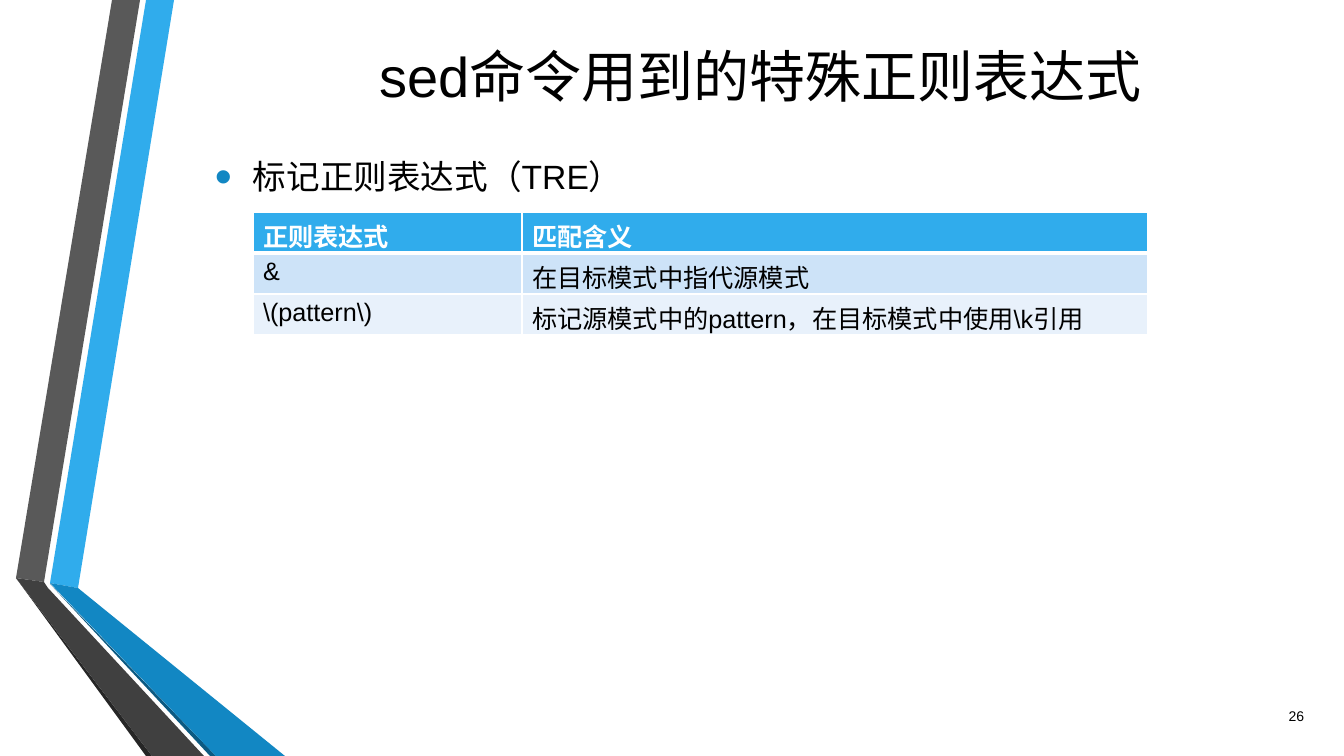
from dataclasses import dataclass

from lxml.etree import SubElement
from pptx import Presentation
from pptx.dml.color import RGBColor
from pptx.enum.text import MSO_ANCHOR as Anchor, PP_ALIGN as Align
from pptx.oxml import parse_xml
from pptx.oxml.ns import nsdecls, qn
from pptx.util import Pt

TITLE = "sed命令用到的特殊正则表达式"
BULLET = "标记正则表达式（TRE）"
PAGE = "26"
ROWS = [
    ("正则表达式", "匹配含义"),
    ("&", "在目标模式中指代源模式"),
    (r"\(pattern\)", r"标记源模式中的pattern，在目标模式中使用\k引用"),
]

# Lengths in px
PX = 914400 / 100.8
SLIDE = (1344, 756)
TITLE_BOX = (205, 26, 1111, 99)
BODY_BOX = (205, 136, 1111, 545)
PAGE_BOX = (1254, 696, 60, 40)
TABLE_AT = (253, 212)
COL_WIDTHS = (269, 626)
ROW_HEIGHT = 41
BULLET_INDENT = 38


@dataclass(frozen=True)
class Theme:
    font: str = "Arial"
    title: int = 40
    body: int = 24
    cell: int = 18
    page: int = 10
    text: str = "000000"
    white: str = "FFFFFF"
    blue: str = "30ACEC"
    deep_blue: str = "1287C3"
    shade_blue: str = "0C5A82"
    grey: str = "595959"
    deep_grey: str = "404040"
    shade_grey: str = "262626"
    bands: tuple = ("CDE3F8", "E8F1FB")


T = Theme()

RIBBONS = [
    (T.blue, [(50, 583), (78, 588), (174, 0), (146, 0)]),
    (T.grey, [(140, 0), (112, 0), (16, 578), (44, 582)]),
    (T.shade_grey, [(16, 578), (146, 756), (152, 756)]),
    (T.shade_blue, [(50, 584), (210, 756), (216, 756)]),
    (T.deep_blue, [(50, 583), (216, 756), (285, 756), (78, 588)]),
    (T.deep_grey, [(204, 756), (48, 588), (44, 582), (16, 578), (152, 756)]),
]


def emu(*lengths):
    return [round(n * PX) for n in lengths]


def write(tf, text, size, color=T.text, bold=False, align=Align.LEFT):
    tf.word_wrap = True
    tf.text = text
    p = tf.paragraphs[0]
    p.alignment = align
    font = p.runs[0].font
    font.name, font.size, font.bold = T.font, Pt(size), bold
    font.color.rgb = RGBColor.from_string(color)
    return p


def add_ribbon(s, color, points):
    builder = s.shapes.build_freeform(*points[0], scale=PX)
    builder.add_line_segments(points[1:], close=True)
    sp = builder.convert_to_shape()
    sp.shadow.inherit = False
    sp.fill.solid()
    sp.fill.fore_color.rgb = RGBColor.from_string(color)
    sp.line.fill.background()


def add_bullet(p):
    p.space_before, p.space_after = Pt(4.8), Pt(6)
    pPr = p._p.get_or_add_pPr()
    indent, = emu(BULLET_INDENT)
    pPr.set("marL", str(indent))
    pPr.set("indent", str(-indent))
    SubElement(SubElement(pPr, qn("a:buClr")), qn("a:srgbClr"), val=T.deep_blue)
    SubElement(pPr, qn("a:buSzPct"), val="145000")
    SubElement(pPr, qn("a:buFont"), typeface=T.font)
    SubElement(pPr, qn("a:buChar"), char="•")


def set_borders(cell, top, bottom):
    """Draw white borders; top and bottom are widths in points."""
    tcPr = cell._tc.get_or_add_tcPr()
    for i, (side, width) in enumerate(zip("LRTB", (1, 1, top, bottom))):
        tcPr.insert(i, parse_xml(
            f'<a:ln{side} {nsdecls("a")} w="{Pt(width)}"><a:solidFill>'
            f'<a:srgbClr val="{T.white}"/></a:solidFill></a:ln{side}>'))


def add_rows(s):
    size = sum(COL_WIDTHS), ROW_HEIGHT * len(ROWS)
    table = s.shapes.add_table(len(ROWS), len(COL_WIDTHS), *emu(*TABLE_AT, *size)).table
    for col, width in zip(table.columns, emu(*COL_WIDTHS)):
        col.width = width
    for i, row in enumerate(ROWS):
        header = i == 0
        fill = T.blue if header else T.bands[(i - 1) % 2]
        for j, text in enumerate(row):
            cell = table.cell(i, j)
            write(cell.text_frame, text, T.cell, T.white if header else T.text, header)
            cell.fill.solid()
            cell.fill.fore_color.rgb = RGBColor.from_string(fill)
            set_borders(cell, top=3 if i == 1 else 1, bottom=3 if header else 1)


def main():
    prs = Presentation()
    prs.slide_width, prs.slide_height = emu(*SLIDE)
    s = prs.slides.add_slide(prs.slide_layouts[5])

    for color, points in RIBBONS:
        add_ribbon(s, color, points)

    title = s.shapes.title
    title.left, title.top, title.width, title.height = emu(*TITLE_BOX)
    title.text_frame.vertical_anchor = Anchor.MIDDLE
    write(title.text_frame, TITLE, T.title, align=Align.CENTER)

    body = s.shapes.add_textbox(*emu(*BODY_BOX)).text_frame
    body.margin_top, = emu(20)
    add_bullet(write(body, BULLET, T.body))

    page = s.shapes.add_textbox(*emu(*PAGE_BOX)).text_frame
    page.vertical_anchor = Anchor.MIDDLE
    write(page, PAGE, T.page, align=Align.RIGHT)

    add_rows(s)
    prs.save("out.pptx")


if __name__ == "__main__":
    main()
